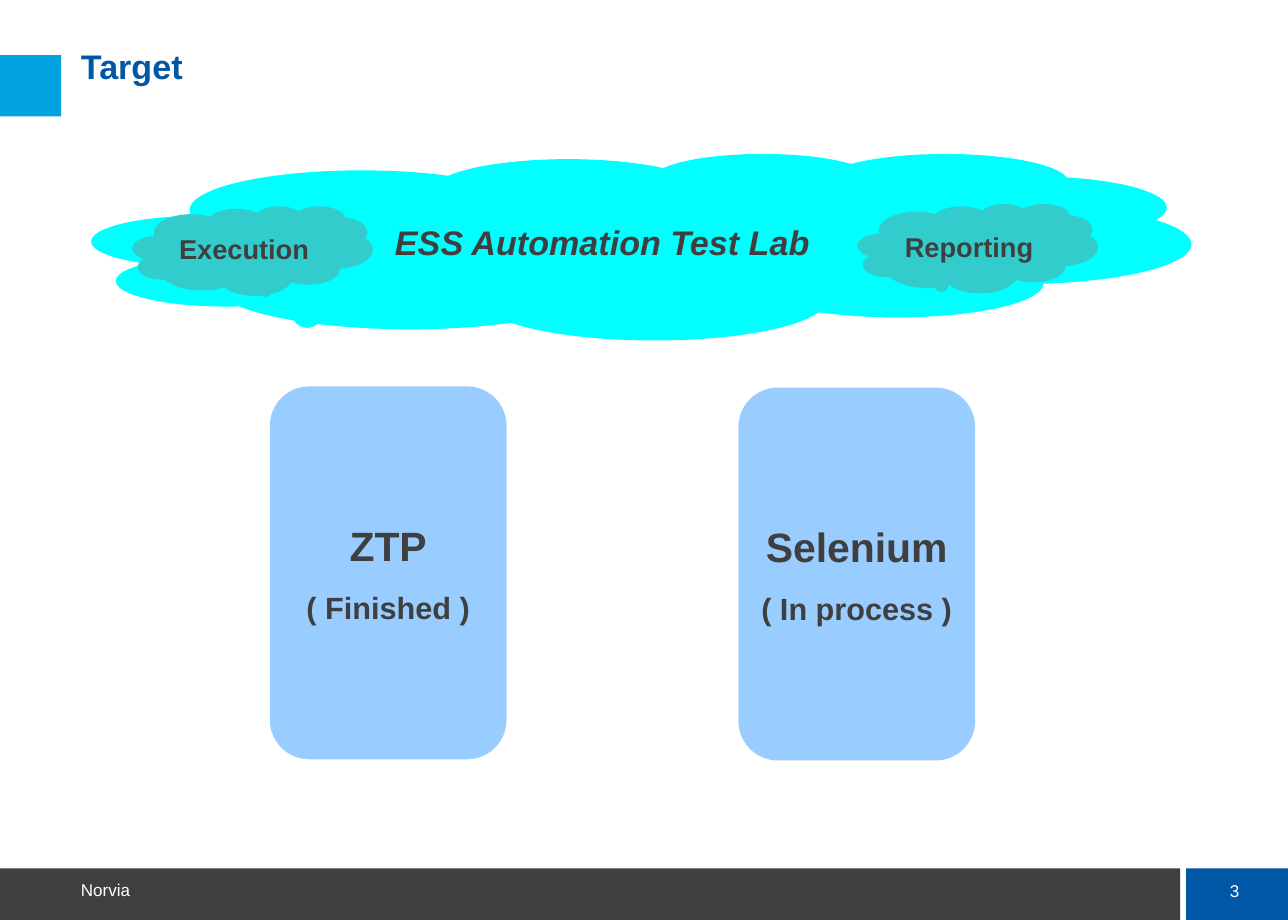
from dataclasses import dataclass

from pptx import Presentation
from pptx import util as u
from pptx.dml.color import RGBColor
from pptx.enum import shapes, text

WHITE = RGBColor(0xFF, 0xFF, 0xFF)
DARK = RGBColor(0x3F, 0x3F, 0x3F)
NAVY = RGBColor(0x00, 0x57, 0xA6)
SKY = RGBColor(0x00, 0xA2, 0xDF)
CYAN = RGBColor(0x00, 0xFF, 0xFF)
TEAL = RGBColor(0x33, 0xCC, 0xCC)
PALE = RGBColor(0x99, 0xCC, 0xFF)

KIND = shapes.MSO_SHAPE
ALIGN = text.PP_ALIGN
ANCHOR = text.MSO_ANCHOR
CLOUD = KIND.CLOUD_CALLOUT
CARD = KIND.FLOWCHART_ALTERNATE_PROCESS


@dataclass(frozen=True)
class Line:
    words: str
    size: float
    color: RGBColor = DARK
    bold: bool = True
    slant: bool = False
    before: float = 0


@dataclass(frozen=True)
class Block:
    kind: KIND
    box: tuple[float, float, float, float]
    fill: RGBColor
    lines: tuple[Line, ...] = ()
    tail: tuple[float, ...] = ()
    wrap: bool = True


@dataclass(frozen=True)
class Label:
    box: tuple[float, float, float, float]
    line: Line
    align: ALIGN
    anchor: ANCHOR


BARS = (
    Block(KIND.RECTANGLE, (0, 7.08, 9.62, 0.42), DARK),
    Block(KIND.RECTANGLE, (9.67, 7.08, 0.83, 0.42), NAVY),
    Block(KIND.RECTANGLE, (0, 0.45, 0.5, 0.5), SKY),
)
LABELS = (
    Label((9.82, 7.13, 0.49, 0.27), Line("3", 10, WHITE, False),
          ALIGN.CENTER, ANCHOR.MIDDLE),
    Label((0.66, 7.15, 4.19, 0.19), Line("Norvia", 10, WHITE, False),
          ALIGN.LEFT, ANCHOR.BOTTOM),
)
CLOUDS = (
    Block(CLOUD, (0.75, 1.25, 8.96, 1.52), CYAN,
          (Line("ESS Automation Test Lab", 20, slant=True),), (-0.25, 0.29)),
    Block(CLOUD, (1.08, 1.68, 1.96, 0.73), TEAL,
          (Line("Execution", 16),), (0.03, 0.25)),
    Block(CLOUD, (6.99, 1.66, 1.96, 0.73), TEAL,
          (Line("Reporting", 16),), (-0.09, 0.24)),
)
CARDS = tuple(
    Block(CARD, (left, top, 1.93, 3.04), PALE,
          (Line(tool, 24), Line(state, 18, before=11.2)), wrap=False)
    for left, top, tool, state in (
        (2.2, 3.15, "ZTP", "( Finished )"),
        (6.02, 3.16, "Selenium", "( In process )"),
    )
)


def write(frame, lines: tuple[Line, ...], align: ALIGN, anchor: ANCHOR,
          inset: float, wrap: bool = True) -> None:
    pad = u.Inches(inset)
    form = {"margin_left": pad, "margin_right": pad, "margin_top": pad,
            "margin_bottom": pad, "vertical_anchor": anchor,
            "word_wrap": wrap, "auto_size": text.MSO_AUTO_SIZE.NONE}
    for name, value in form.items():
        setattr(frame, name, value)
    for index, line in enumerate(lines):
        para = frame.paragraphs[0] if index == 0 else frame.add_paragraph()
        para.alignment = align
        para.space_before = u.Pt(line.before)
        run = para.add_run()
        run.text = line.words
        style = {"name": "Arial", "size": u.Pt(line.size),
                 "bold": line.bold, "italic": line.slant}
        for name, value in style.items():
            setattr(run.font, name, value)
        run.font.color.rgb = line.color


def draw(slide, block: Block) -> None:
    shape = slide.shapes.add_shape(block.kind, *map(u.Inches, block.box))
    shape.shadow.inherit = False
    shape.fill.solid()
    shape.fill.fore_color.rgb = block.fill
    shape.line.fill.background()
    for index, value in enumerate(block.tail):
        shape.adjustments[index] = value
    if block.lines:
        write(shape.text_frame, block.lines, ALIGN.CENTER, ANCHOR.MIDDLE,
              0.1, block.wrap)


def label(slide, item: Label) -> None:
    box = slide.shapes.add_textbox(*map(u.Inches, item.box))
    write(box.text_frame, (item.line,), item.align, item.anchor, 0)


def head(slide) -> None:
    title = slide.shapes.title
    place = {"left": 0.66, "top": 0.41, "width": 8.96, "height": 0.66}
    for name, value in place.items():
        setattr(title, name, u.Inches(value))
    write(title.text_frame, (Line("Target", 20, NAVY),),
          ALIGN.LEFT, ANCHOR.TOP, 0)
    title.text_frame.paragraphs[0].line_spacing = 0.9


def main() -> None:
    deck = Presentation()
    deck.slide_width = u.Inches(10.5)
    deck.slide_height = u.Inches(7.5)
    slide = deck.slides.add_slide(deck.slide_layouts[5])
    head(slide)
    for block in BARS + CLOUDS + CARDS:
        draw(slide, block)
    for item in LABELS:
        label(slide, item)
    deck.save("out.pptx")


if __name__ == "__main__":
    main()
